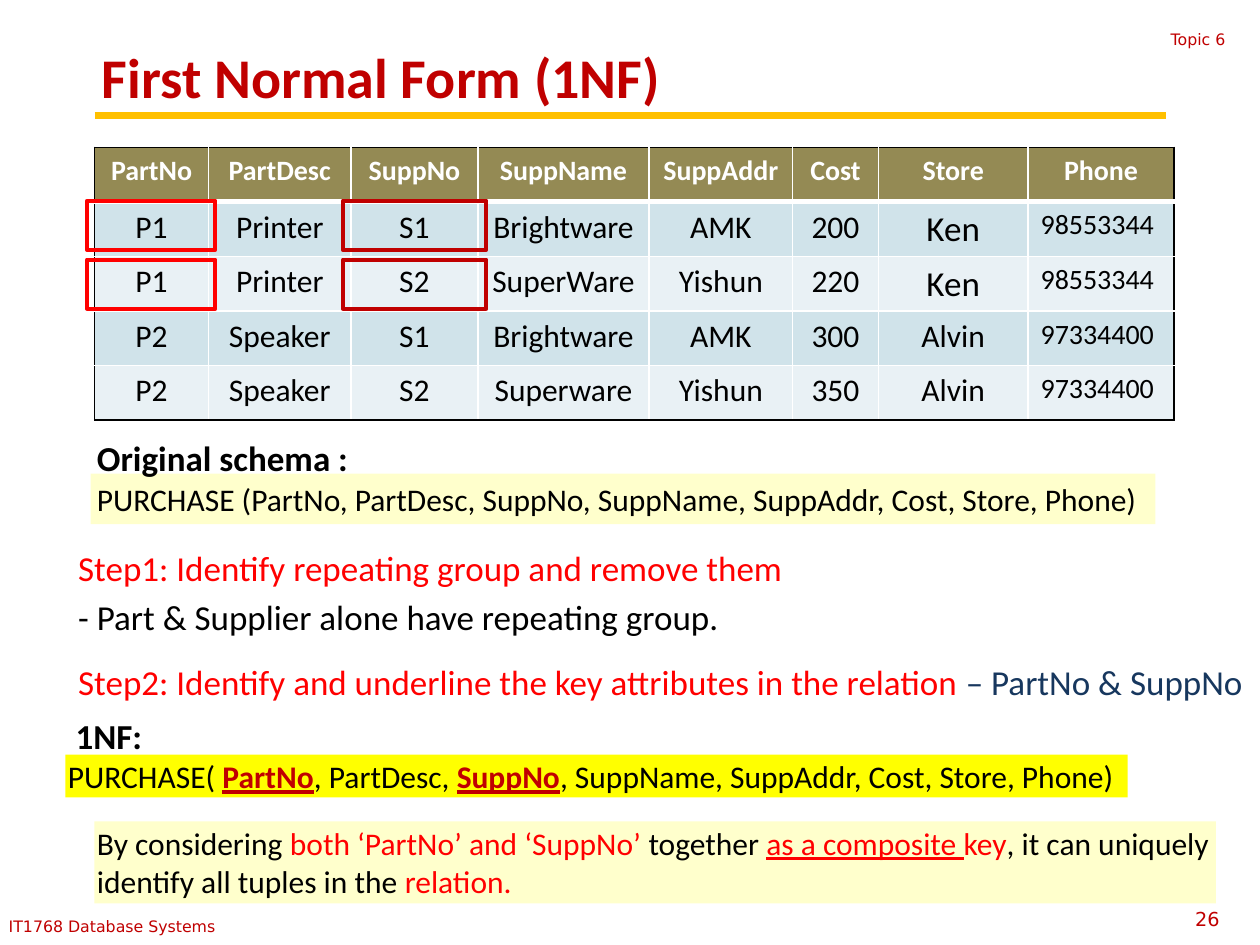
from dataclasses import dataclass

from lxml import etree
from pptx import Presentation
from pptx.dml.color import RGBColor
from pptx.enum.shapes import MSO_CONNECTOR, MSO_SHAPE
from pptx.enum.text import MSO_ANCHOR, PP_ALIGN
from pptx.oxml.ns import qn
from pptx.util import Pt

STRAIGHT = MSO_CONNECTOR.STRAIGHT
RECTANGLE = MSO_SHAPE.RECTANGLE
TOP, MIDDLE = MSO_ANCHOR.TOP, MSO_ANCHOR.MIDDLE
LEFT, CENTER = PP_ALIGN.LEFT, PP_ALIGN.CENTER
TITLE_ONLY = 5


@dataclass(frozen=True)
class Theme:
    font: str = "Calibri"
    footer_font: str = "DejaVu Sans"
    accent: str = "C00000"
    rule: str = "FFC000"
    text: str = "000000"
    alert: str = "FF0000"
    answer: str = "17375E"
    white: str = "FFFFFF"
    header: str = "948A54"
    band_dark: str = "D0E3EA"
    band_light: str = "E9F1F5"
    note: str = "FFFFCC"
    highlight: str = "FFFF00"
    title_size: int = 32
    heading_size: int = 20
    body_size: int = 18
    small_size: int = 16
    number_size: int = 11
    footer_size: int = 9


THEME = Theme()

COLUMN_WIDTHS = [65.2, 81.4, 72.5, 97.9, 82, 49, 85.6, 83.4]
ROW_HEIGHT = 31.1
PURCHASES = [
    ["PartNo", "PartDesc", "SuppNo", "SuppName", "SuppAddr", "Cost", "Store", "Phone"],
    ["P1", "Printer", "S1", "Brightware", "AMK", "200", "Ken", "98553344"],
    ["P1", "Printer", "S2", "SuperWare", "Yishun", "220", "Ken", "98553344"],
    ["P2", "Speaker", "S1", "Brightware", "AMK", "300", "Alvin", "97334400"],
    ["P2", "Speaker", "S2", "Superware", "Yishun", "350", "Alvin", "97334400"],
]


def color(value):
    return RGBColor.from_string(value)


def points(*values):
    return [Pt(value) for value in values]


def style_font(font, size, value, bold=False, underline=False, name=THEME.font):
    font.name, font.size, font.bold, font.underline = name, Pt(size), bold, underline
    font.color.rgb = color(value)


def set_frame(frame, inset, wrap=False, anchor=TOP):
    frame.word_wrap, frame.vertical_anchor = wrap, anchor
    frame.margin_left = frame.margin_right = Pt(inset)
    frame.margin_top = frame.margin_bottom = Pt(inset)


def add_text(slide, box, paragraphs, size, fill=None, inset=1.44, wrap=False,
             anchor=TOP, font=THEME.font):
    """Each paragraph is a list of runs: (text, colour, bold, underline)."""
    shape = slide.shapes.add_textbox(*points(*box))
    if fill:
        shape.fill.solid()
        shape.fill.fore_color.rgb = color(fill)
    frame = shape.text_frame
    set_frame(frame, inset, wrap, anchor)
    for index, runs in enumerate(paragraphs):
        paragraph = frame.add_paragraph() if index else frame.paragraphs[0]
        paragraph.alignment = LEFT
        if index:
            paragraph.space_before = Pt(size * 0.2)
        for text, *style in runs:
            run = paragraph.add_run()
            run.text = text
            style_font(run.font, size, *style, name=font)


def add_header(slide, left, top, width):
    # Title with the rule below it
    title = slide.shapes.title
    title.left, title.top, title.width, title.height = points(left + 1.4, top, 335.5, 44.6)
    title.text_frame.text = "First Normal Form (1NF)"
    set_frame(title.text_frame, 2.88)
    paragraph = title.text_frame.paragraphs[0]
    paragraph.alignment = LEFT
    style_font(paragraph.runs[0].font, THEME.title_size, THEME.accent, True)
    rule_top = top + 44.6
    rule = slide.shapes.add_connector(
        STRAIGHT, *points(left, rule_top, left + width, rule_top))
    rule.line.color.rgb = color(THEME.rule)
    rule.line.width = Pt(4)
    etree.SubElement(rule._element.spPr, qn("a:effectLst"))


def add_page_marks(slide):
    marks = [
        ((0, 519, 204, 18), "IT1768 Database Systems", THEME.footer_size),
        ((678, 513.4, 36, 21), "26", THEME.number_size),
        ((664, 12.2, 54, 18), "Topic 6", THEME.footer_size),
    ]
    for box, text, size in marks:
        add_text(slide, box, [[(text, THEME.accent)]], size, inset=5,
                 font=THEME.footer_font)


def set_borders(cell, **sides):
    properties = cell._tc.get_or_add_tcPr()
    for position, side in enumerate(("L", "R", "T", "B")):
        value, width = sides[side]
        line = etree.Element(qn(f"a:ln{side}"), w=str(Pt(width)))
        fill = etree.SubElement(line, qn("a:solidFill"))
        etree.SubElement(fill, qn("a:srgbClr"), val=value)
        properties.insert(position, line)


def add_purchase_table(slide, left, top):
    last_row, last_column = len(PURCHASES) - 1, len(COLUMN_WIDTHS) - 1
    table = slide.shapes.add_table(
        len(PURCHASES), len(COLUMN_WIDTHS),
        *points(left, top, sum(COLUMN_WIDTHS), ROW_HEIGHT * len(PURCHASES))).table
    for column, width in zip(table.columns, COLUMN_WIDTHS):
        column.width = Pt(width)
    edge, inner, heavy = (THEME.text, 1), (THEME.white, 1), (THEME.white, 3)
    for row, values in enumerate(PURCHASES):
        table.rows[row].height = Pt(ROW_HEIGHT)
        band = THEME.band_dark if row % 2 else THEME.band_light
        for column, value in enumerate(values):
            cell = table.cell(row, column)
            cell.fill.solid()
            cell.fill.fore_color.rgb = color(band if row else THEME.header)
            cell.text_frame.text = value
            paragraph = cell.text_frame.paragraphs[0]
            is_phone = row > 0 and column == last_column
            paragraph.alignment = LEFT if is_phone else CENTER
            if row == 0 or is_phone:
                size = THEME.small_size
            else:
                size = THEME.heading_size if value == "Ken" else THEME.body_size
            style_font(paragraph.runs[0].font, size,
                       THEME.text if row else THEME.white, row == 0)
            set_borders(
                cell,
                L=inner if column else edge,
                R=edge if column == last_column else inner,
                T=edge if row == 0 else heavy if row == 1 else inner,
                B=heavy if row == 0 else edge if row == last_row else inner)


def add_key_frames(slide, left, top):
    # Frames round the repeated part and supplier numbers
    for row in range(2):
        for offset, width, value in ((146.2, 82, THEME.accent), (0, 73.4, THEME.alert)):
            frame = slide.shapes.add_shape(
                RECTANGLE, *points(left + offset, top + row * 33.6, width, 28.1))
            frame.shadow.inherit = False
            frame.fill.background()
            frame.line.color.rgb = color(value)
            frame.line.width = Pt(2.25)


def add_original_schema(slide, left, top):
    schema = "PURCHASE (PartNo, PartDesc, SuppNo, SuppName, SuppAddr, Cost, Store, Phone)"
    add_text(slide, (left, top + 25.2, 608.4, 28.8), [[(schema, THEME.text)]],
             THEME.body_size, THEME.note, 3.6)
    add_text(slide, (left, top, 152, 31.7), [[("Original schema :", THEME.text, True)]],
             THEME.heading_size, inset=3.6, anchor=MIDDLE)


def add_steps(slide, left, top):
    add_text(slide, (left, top, 422, 56.2), [
        [("Step1: Identify repeating group and remove them", THEME.alert)],
        [("- Part & Supplier alone have repeating group.", THEME.text)],
    ], THEME.heading_size)
    add_text(slide, (left, top + 64.8, 675.4, 27.4), [[
        ("Step2: Identify and underline the key attributes in the relation ", THEME.alert),
        ("– PartNo & SuppNo", THEME.answer),
    ]], THEME.heading_size)


def add_first_normal_form(slide, left, top):
    add_text(slide, (left, top + 26.6, 607, 24.5), [[
        ("PURCHASE( ", THEME.text), ("PartNo", THEME.accent, True, True),
        (", PartDesc, ", THEME.text), ("SuppNo", THEME.accent, True, True),
        (", SuppName, SuppAddr, Cost, Store, Phone)", THEME.text),
    ]], THEME.body_size, THEME.highlight)
    add_text(slide, (left + 2.2, top, 45.4, 31.7), [[("1NF:", THEME.text, True)]],
             THEME.heading_size, inset=3.6, anchor=MIDDLE)


def add_conclusion(slide, left, top):
    add_text(slide, (left, top, 640.8, 46.8), [[
        ("By considering ", THEME.text), ("both ‘PartNo’ and ‘SuppNo’ ", THEME.alert),
        ("together ", THEME.text), ("as a composite ", THEME.alert, False, True),
        ("key", THEME.alert), (", it can uniquely identify all tuples in the ", THEME.text),
        ("relation.", THEME.alert),
    ]], THEME.body_size, THEME.note, wrap=True)


def main():
    presentation = Presentation()
    presentation.slide_width, presentation.slide_height = points(720, 540)
    slide = presentation.slides.add_slide(presentation.slide_layouts[TITLE_ONLY])
    add_header(slide, 54, 21.6, 612)
    add_page_marks(slide)
    add_purchase_table(slide, 54, 84.2)
    add_key_frames(slide, 49.7, 114.7)
    add_original_schema(slide, 51.8, 245.5)
    add_steps(slide, 43.2, 311)
    add_first_normal_form(slide, 37.4, 404.6)
    add_conclusion(slide, 54, 469.4)
    presentation.save("out.pptx")


if __name__ == "__main__":
    main()
